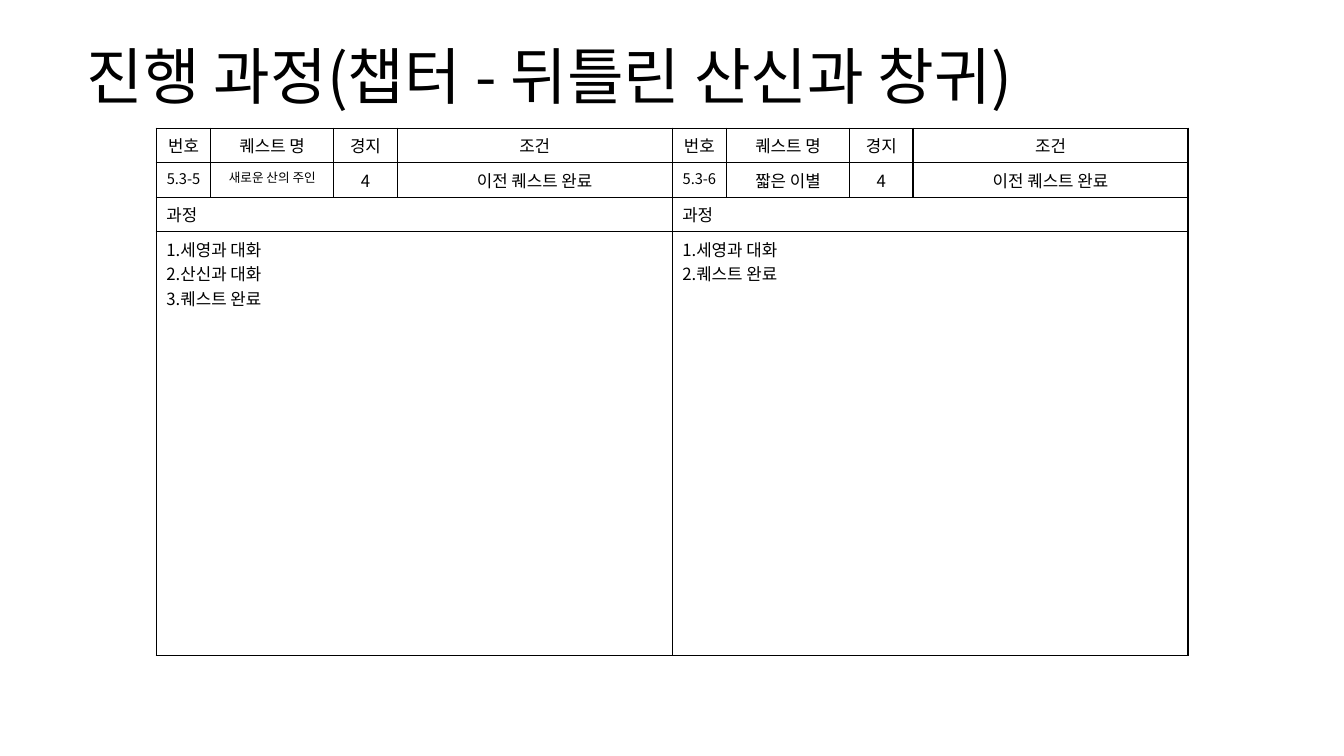
import pptx
import pptx.dml.color
import pptx.enum.text
import pptx.oxml
import pptx.oxml.ns
import pptx.util
from pptx.util import Cm

BLACK = pptx.dml.color.RGBColor(0x00, 0x00, 0x00)
WHITE = pptx.dml.color.RGBColor(0xFF, 0xFF, 0xFF)
FONT = "Noto Sans CJK KR"
CENTER = pptx.enum.text.PP_ALIGN.CENTER
LEFT = pptx.enum.text.PP_ALIGN.LEFT

COLUMN_WIDTHS = (1.37, 3.1, 1.6, 6.93)
ROW_HEIGHTS = (0.87, 0.87, 0.87, 10.67)
TABLE_LEFT, TABLE_TOP = 3.94, 3.23
HEADINGS = ("번호", "퀘스트 명", "경지", "조건")
# Each quest: values, their text sizes, steps
QUESTS = (
    (("5.3-5", "새로운 산의 주인", "4", "이전 퀘스트 완료"), (10.5, 9, 12, 12),
     ("세영과 대화", "산신과 대화", "퀘스트 완료")),
    (("5.3-6", "짧은 이별", "4", "이전 퀘스트 완료"), (10.5, 12, 12, 12),
     ("세영과 대화", "퀘스트 완료")),
)


def write(frame, text, size, align=LEFT):
    frame.text = text
    for paragraph in frame.paragraphs:
        paragraph.alignment = align
        paragraph.font.size = pptx.util.Pt(size)
        paragraph.font.bold = False
        paragraph.font.color.rgb = BLACK
        paragraph.font.name = FONT
        defaults = paragraph._p.pPr.find(pptx.oxml.ns.qn("a:defRPr"))
        east_asian = pptx.oxml.parse_xml(
            f'<a:ea {pptx.oxml.ns.nsdecls("a")} typeface="{FONT}"/>')
        defaults.append(east_asian)


def style_cell(cell):
    """Give the cell a white fill and a thin black line on every side."""
    cell.fill.solid()
    cell.fill.fore_color.rgb = WHITE
    properties = cell._tc.get_or_add_tcPr()
    for position, side in enumerate("LRTB"):
        border = pptx.oxml.parse_xml(
            f'<a:ln{side} {pptx.oxml.ns.nsdecls("a")} w="{pptx.util.Pt(1)}">'
            f'<a:solidFill><a:srgbClr val="{BLACK}"/></a:solidFill></a:ln{side}>')
        properties.insert(position, border)


def add_title(slide, text):
    title = slide.shapes.add_textbox(Cm(1.93), Cm(0.81), Cm(30), Cm(2.39))
    frame = title.text_frame
    frame.word_wrap = True
    frame.vertical_anchor = pptx.enum.text.MSO_ANCHOR.MIDDLE
    write(frame, text, 44)
    frame.paragraphs[0].line_spacing = 0.9


def add_quest(slide, left, values, sizes, steps):
    quest = slide.shapes.add_table(
        len(ROW_HEIGHTS), len(COLUMN_WIDTHS), Cm(left), Cm(TABLE_TOP),
        Cm(sum(COLUMN_WIDTHS)), Cm(sum(ROW_HEIGHTS))).table
    quest.first_row = False
    quest.horz_banding = False
    for column, width in zip(quest.columns, COLUMN_WIDTHS):
        column.width = Cm(width)
    for row, height in zip(quest.rows, ROW_HEIGHTS):
        row.height = Cm(height)
    for cell in quest.iter_cells():
        style_cell(cell)

    for index, (heading, value, size) in enumerate(zip(HEADINGS, values, sizes)):
        write(quest.cell(0, index).text_frame, heading, 12, CENTER)
        write(quest.cell(1, index).text_frame, value, size, CENTER)

    numbered = "\n".join(f"{number}.{step}" for number, step in enumerate(steps, 1))
    for row, text in ((2, "과정"), (3, numbered)):
        quest.cell(row, 0).merge(quest.cell(row, len(COLUMN_WIDTHS) - 1))
        write(quest.cell(row, 0).text_frame, text, 12)


def main():
    presentation = pptx.Presentation()
    presentation.slide_width = Cm(33.87)
    presentation.slide_height = Cm(19.05)
    slide = presentation.slides.add_slide(presentation.slide_layouts[6])
    for index, quest in enumerate(QUESTS):
        add_quest(slide, TABLE_LEFT + index * sum(COLUMN_WIDTHS), *quest)
    add_title(slide, "진행 과정(챕터 - 뒤틀린 산신과 창귀)")
    presentation.save("out.pptx")


if __name__ == "__main__":
    main()
